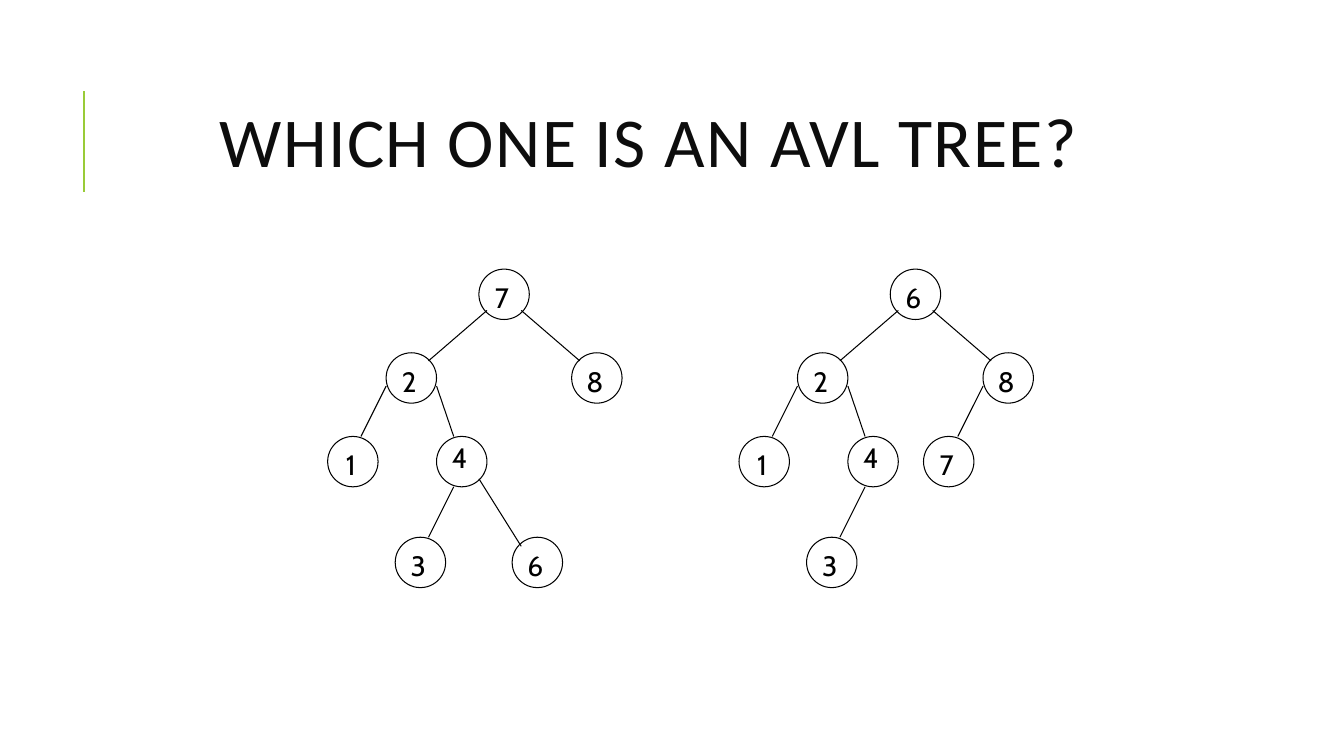
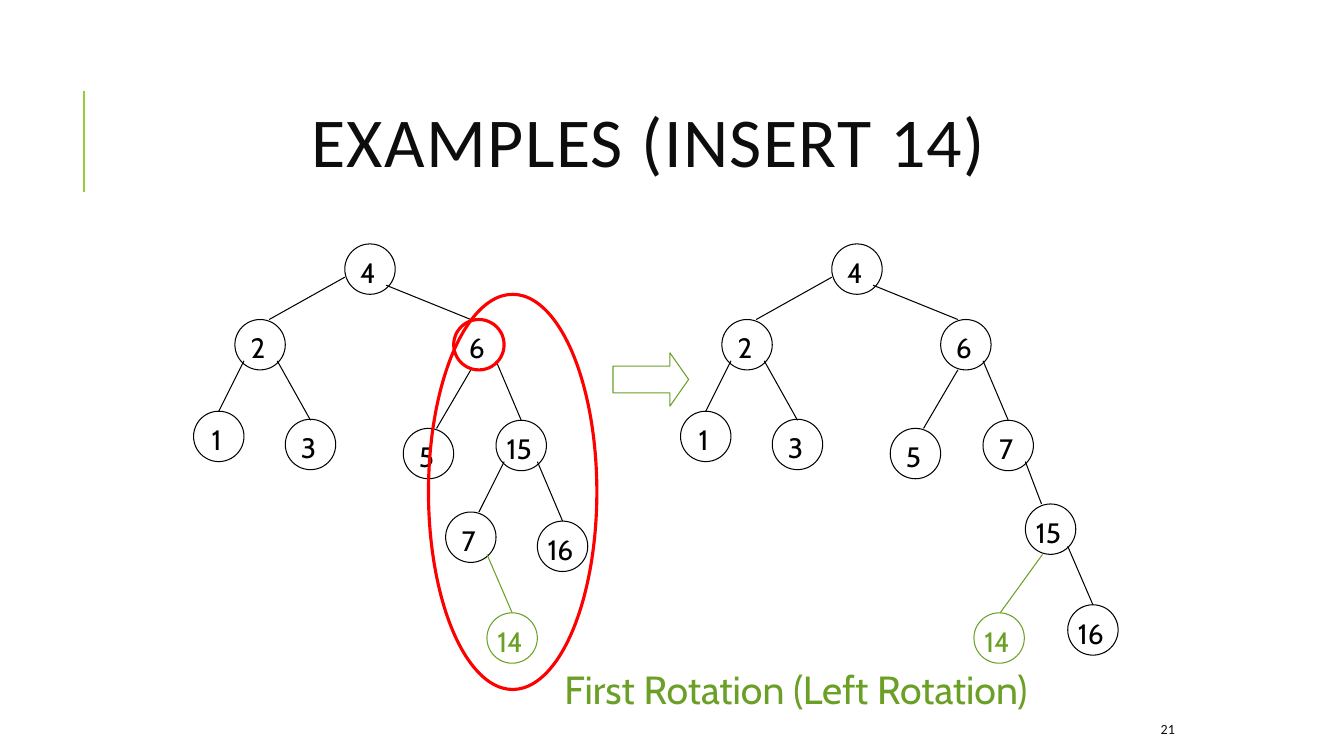
from dataclasses import dataclass

from lxml import etree
from pptx import Presentation
from pptx import util as u
from pptx.dml.color import RGBColor
from pptx.enum import shapes, text
from pptx.oxml import ns


@dataclass(frozen=True)
class Theme:
    """Colours, fonts and type sizes of the deck."""
    ink: str = "000000"
    heading: str = "0D0D0D"
    rule: str = "99CB38"
    accent: str = "6B9F25"
    alert: str = "FF0000"
    heading_font: str = "Calibri"
    body_font: str = "Cabin"
    title_size: int = 50
    caption_size: int = 28
    node_size: int = 20
    number_size: int = 10
    thin: float = 0.75
    medium: float = 1.5
    thick: float = 2.25
    node: float = 0.5


class Deck:
    """Holds the theme and the current slide and draws each kind of element."""

    def __init__(self, theme):
        self.theme = theme
        self.prs = Presentation()
        self.prs.slide_width = u.Inches(13.33)
        self.prs.slide_height = u.Inches(7.5)
        self.slide = None

    def start(self, title):
        """Add a slide with its side rule and title."""
        t = self.theme
        self.slide = self.prs.slides.add_slide(self.prs.slide_layouts[6])
        self.line((0.83, 1.9, 0.83, 0.9), t.rule, t.medium)
        heading = self.label(title, (1.12, 0.64, 10.63, 1.64), t.heading_font,
                             t.title_size, t.heading, text.PP_ALIGN.CENTER)
        heading.line_spacing = 0.8
        heading.runs[0].font._element.set("spc", "100")

    def set_text(self, frame, words, font, size, color, align):
        """Fill a text frame with one formatted paragraph."""
        frame.text = words
        paragraph = frame.paragraphs[0]
        paragraph.alignment = align
        run_font = paragraph.runs[0].font
        run_font.name = font
        run_font.size = u.Pt(size)
        run_font.color.rgb = RGBColor.from_string(color)
        return paragraph

    def label(self, words, box, font, size, color, align=text.PP_ALIGN.LEFT):
        """Add a text box whose text is centred vertically."""
        frame = self.slide.shapes.add_textbox(*map(u.Inches, box)).text_frame
        frame.word_wrap = True
        frame.vertical_anchor = text.MSO_ANCHOR.MIDDLE
        return self.set_text(frame, words, font, size, color, align)

    def line(self, ends, color, width):
        """Add a straight line."""
        edge = self.slide.shapes.add_connector(
            shapes.MSO_CONNECTOR.STRAIGHT, *map(u.Inches, ends))
        edge.line.color.rgb = RGBColor.from_string(color)
        edge.line.width = u.Pt(width)
        etree.SubElement(edge._element.spPr, ns.qn("a:effectLst"))

    def outline(self, kind, box, color, width):
        """Add an unfilled preset shape."""
        figure = self.slide.shapes.add_shape(kind, *map(u.Inches, box))
        figure.shadow.inherit = False
        figure.fill.background()
        figure.line.color.rgb = RGBColor.from_string(color)
        figure.line.width = u.Pt(width)
        return figure

    def ring(self, box):
        """Add a red ellipse that marks a part of a tree."""
        self.outline(shapes.MSO_SHAPE.OVAL, box, self.theme.alert, self.theme.thick)

    def node(self, key, x, y, color, inset=0.04):
        """Add a tree node with its key."""
        t = self.theme
        circle = self.outline(shapes.MSO_SHAPE.OVAL, (x, y, t.node, t.node), color, t.thin)
        frame = circle.text_frame
        frame.word_wrap = False
        frame.vertical_anchor = text.MSO_ANCHOR.TOP
        frame.margin_left = frame.margin_bottom = 0
        frame.margin_right = u.Inches(0.04)
        frame.margin_top = u.Inches(inset)
        self.set_text(frame, key, t.body_font, t.node_size, color, text.PP_ALIGN.CENTER)

    def tree(self, nodes, edges, shift=0, color=None):
        """Draw nodes and edges, moved right by shift."""
        color = color or self.theme.ink
        for x1, y1, x2, y2 in edges:
            self.line((x1 + shift, y1, x2 + shift, y2), color, self.theme.thin)
        for key, x, y, *inset in nodes:
            self.node(key, x + shift, y, color, *inset)


def avl_question(deck):
    """Build the slide that compares two trees."""
    deck.start("WHICH ONE IS AN AVL TREE?")
    common_nodes = [("2", 3.83, 3.5), ("8", 5.67, 3.5), ("1", 3.25, 4.33),
                    ("4", 4.33, 4.33, -0.03), ("3", 3.92, 5.33)]
    common_edges = [(4.83, 3.08, 4.25, 3.58), (5.17, 3.08, 5.75, 3.58),
                    (3.83, 3.83, 3.58, 4.33), (4.33, 3.83, 4.5, 4.33),
                    (4.5, 4.83, 4.25, 5.33)]
    variants = [
        (0, "7", ("6", 5.08, 5.33), (4.75, 4.75, 5.17, 5.42)),
        (4.08, "6", ("7", 5.08, 4.33), (5.67, 3.83, 5.42, 4.33)),
    ]
    for shift, root, extra_node, extra_edge in variants:
        deck.tree([(root, 4.75, 2.67), *common_nodes, extra_node],
                  [*common_edges, extra_edge], shift)


def insert_example(deck):
    """Build the slide that shows the first rotation."""
    t = deck.theme
    deck.start("EXAMPLES (INSERT 14)")
    deck.label("21", (5.3, 7.08, 6.45, 0.3), t.heading_font, t.number_size,
               t.heading, text.PP_ALIGN.RIGHT)

    common_nodes = [("4", 3.42, 2.42), ("2", 2.33, 3.17), ("6", 4.5, 3.17),
                    ("1", 1.92, 4.08), ("3", 2.83, 4.16), ("5", 4, 4.25)]
    common_edges = [(3.42, 2.75, 2.67, 3.17), (3.83, 2.83, 4.67, 3.17),
                    (2.42, 3.58, 2.17, 4.08), (2.75, 3.58, 3.08, 4.17),
                    (4.67, 3.67, 4.33, 4.25), (4.92, 3.58, 5.17, 4.17)]
    after = 4.83
    for shift in (0, after):
        deck.tree(common_nodes, common_edges, shift)

    deck.tree([("15", 4.92, 4.17), ("7", 4.42, 5.08), ("16", 5.33, 5.17)],
              [(5, 4.58, 4.75, 5.08), (5.33, 4.58, 5.58, 5.17)])
    deck.tree([("7", 4.92, 4.17), ("15", 5.34, 5), ("16", 5.76, 6)],
              [(5.34, 4.58, 5.5, 5), (5.76, 5.42, 6.01, 6)], after)
    inserted = [("14", 4.83, 6.08)]
    deck.tree(inserted, [(4.83, 5.5, 5.08, 6.08)], color=t.accent)
    deck.tree(inserted, [(5.51, 5.5, 5.09, 6.08)], after, t.accent)

    step = deck.outline(shapes.MSO_SHAPE.RIGHT_ARROW, (6.08, 3.5, 0.75, 0.53),
                        t.accent, t.thin)
    step.adjustments[1] = 0.35
    deck.label("First Rotation (Left Rotation)", (5.5, 6.55, 5.12, 0.57),
               t.body_font, t.caption_size, t.accent)
    deck.ring((4.25, 2.92, 1.67, 3.92))
    deck.ring((4.5, 3.17, t.node, t.node))


def main():
    """Build and save the deck."""
    deck = Deck(Theme())
    avl_question(deck)
    insert_example(deck)
    deck.prs.save("out.pptx")


if __name__ == "__main__":
    main()
